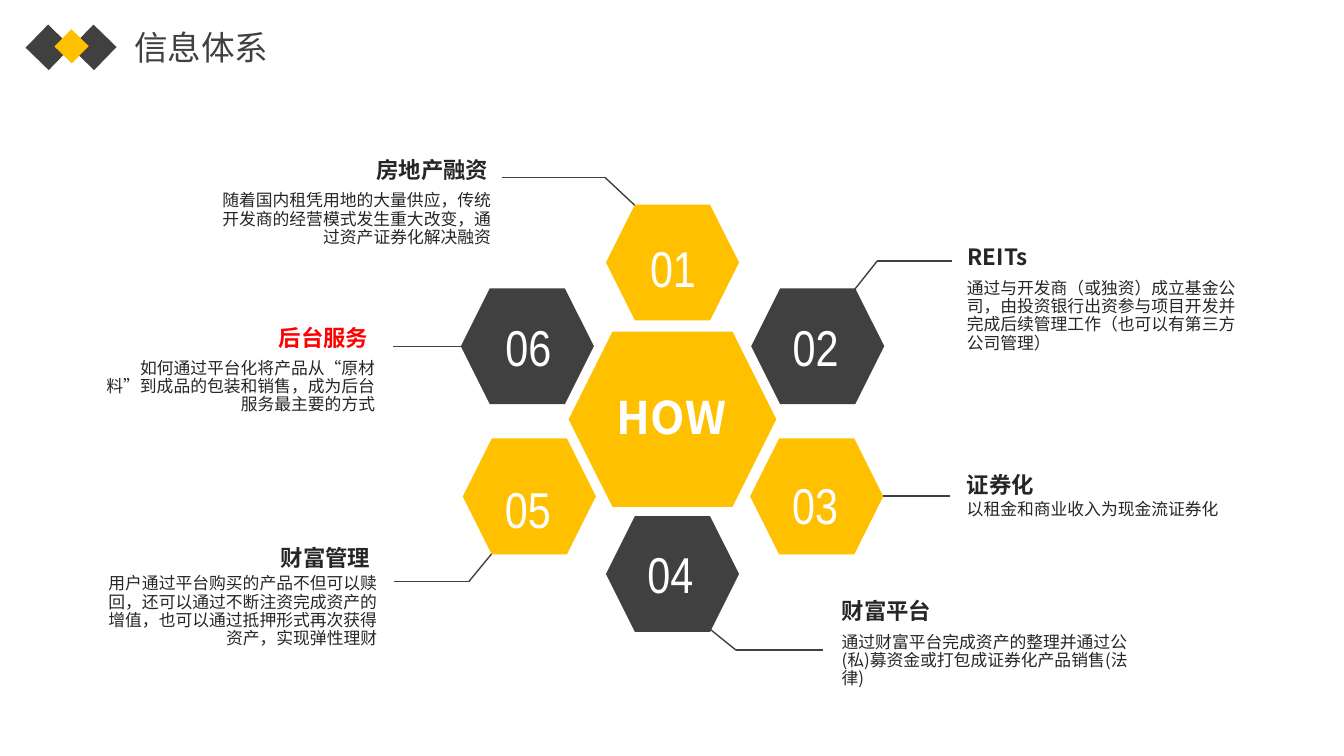
"""Build the slide of six numbered hexagons around a central HOW."""
import pptx
import pptx.util
import pptx.dml.color
import pptx.enum.shapes
import pptx.enum.text
from lxml import etree

PX = 9144
COLOURS = {"dark": "404040", "gold": "FFC000", "ink": "262626",
           "red": "FF0000", "white": "FFFFFF"}
SANS, NARROW = "Noto Sans CJK SC", "Arial Narrow"
HEX_WIDTH, HEX_HEIGHT = 132, 115

TITLE = ("信息体系", (123, 30, 266, 34))
DIAMONDS = [(77, 31, 32, "dark"), (32, 31, 32, "dark"), (59, 34, 24, "gold")]
CENTRE = ("HOW", (564, 329, 206, 174), (562, 382, 208, 64))

HEXAGONS = [
    ("02", (745, 286), "dark", (764, 309, 90, 71), 1),
    ("01", (601, 203), "gold", (619, 218, 97, 75), 1.2),
    ("03", (744, 435), "gold", (758, 453, 101, 75), 1.2),
    ("05", (459, 435), "gold", (478, 457, 91, 75), 1.2),
    ("06", (457, 286), "dark", (479, 309, 90, 71), 1),
    ("04", (601, 512), "dark", (620, 534, 90, 71), 1),
]
LEADERS = [
    [(631, 205), (600, 176), (498, 176)],
    [(847, 288), (870, 259), (944, 259)],
    [(942, 492), (875, 492)],
    [(704, 624), (730, 645), (816, 645)],
    [(488, 549), (465, 577), (391, 577)],
    [(457, 344), (390, 344)],
]
HEADINGS = [
    ("房地产融资", (287, 150, 207, 37), "right", "ink"),
    ("REITs", (950, 236, 90, 37), "left", "ink"),
    ("财富平台", (825, 588, 110, 37), "left", "ink"),
    ("财富管理", (267, 535, 110, 37), "right", "ink"),
    ("后台服务", (265, 317, 110, 37), "right", "red"),
]
DETAILS = [
    ("随着国内租凭用地的大量供应，传统开发商的经营模式发生重大改变，通过资产证券化解决融资",
     (203, 186, 294, 65), "right"),
    ("通过与开发商（或独资）成立基金公司，由投资银行出资参与项目开发并完成后续管理工作（也可以有第三方公司管理）",
     (949, 273, 299, 83), "left"),
    ("通过财富平台完成资产的整理并通过公(私)募资金或打包成证券化产品销售(法律)",
     (825, 624, 304, 65), "left"),
    ("用户通过平台购买的产品不但可以赎回，还可以通过不断注资完成资产的增值，也可以通过抵押形式再次获得资产，实现弹性理财",
     (89, 566, 295, 83), "right"),
    ("如何通过平台化将产品从“原材料”到成品的包装和销售，成为后台服务最主要的方式",
     (89, 352, 293, 65), "right"),
]
SECURITISATION = ("证券化", "以租金和商业收入为现金流证券化", (949, 463, 273, 57))

ALIGN = {"left": pptx.enum.text.PP_ALIGN.LEFT,
         "center": pptx.enum.text.PP_ALIGN.CENTER,
         "right": pptx.enum.text.PP_ALIGN.RIGHT}
SHAPE = pptx.enum.shapes.MSO_SHAPE


def emu(lengths):
    return [length * PX for length in lengths]


def rgb(name):
    return pptx.dml.color.RGBColor.from_string(COLOURS[name])


def write(paragraph, text, size=12, font=SANS, colour="ink", bold=False,
          align="left", spacing=1):
    paragraph.alignment = ALIGN[align]
    paragraph.line_spacing = spacing
    run = paragraph.add_run()
    run.text = text
    run.font.size = pptx.util.Pt(size)
    run.font.name = font
    run.font.bold = bold
    run.font.color.rgb = rgb(colour)
    latin = run.font._element.find(pptx.oxml.ns.qn("a:latin"))
    east_asian = etree.Element(pptx.oxml.ns.qn("a:ea"), typeface=SANS)
    latin.addnext(east_asian)


def add_text(slide, box, text, **style):
    frame = slide.shapes.add_textbox(*emu(box)).text_frame
    frame.word_wrap = True
    frame.auto_size = pptx.enum.text.MSO_AUTO_SIZE.SHAPE_TO_FIT_TEXT
    write(frame.paragraphs[0], text, **style)
    return frame


def add_block(slide, kind, box, colour):
    block = slide.shapes.add_shape(kind, *emu(box))
    block.shadow.inherit = False
    block.fill.solid()
    block.fill.fore_color.rgb = rgb(colour)
    block.line.fill.background()
    return block


def add_leader(slide, start, end):
    leader = slide.shapes.add_connector(
        pptx.enum.shapes.MSO_CONNECTOR.STRAIGHT, *emu(start + end))
    leader.line.color.rgb = rgb("dark")
    leader.line.width = pptx.util.Pt(1)
    etree.SubElement(leader._element.spPr, pptx.oxml.ns.qn("a:effectLst"))


def main():
    deck = pptx.Presentation()
    deck.slide_width, deck.slide_height = emu((1333, 750))
    slide = deck.slides.add_slide(deck.slide_layouts[5])

    title_text, title_box = TITLE
    title = slide.shapes.title
    title.left, title.top, title.width, title.height = emu(title_box)
    title.text_frame.auto_size = pptx.enum.text.MSO_AUTO_SIZE.NONE
    title.text_frame.vertical_anchor = pptx.enum.text.MSO_ANCHOR.MIDDLE
    write(title.text_frame.paragraphs[0], title_text, size=24, font=NARROW,
          colour="dark")
    for left, top, side, colour in DIAMONDS:
        diamond = add_block(slide, SHAPE.RECTANGLE, (left, top, side, side), colour)
        diamond.rotation = 44.2

    for points in LEADERS:
        for start, end in zip(points, points[1:]):
            add_leader(slide, start, end)

    for number, corner, colour, number_box, spacing in HEXAGONS:
        add_block(slide, SHAPE.HEXAGON, corner + (HEX_WIDTH, HEX_HEIGHT), colour)
        add_text(slide, number_box, number, size=36, font=NARROW,
                 colour="white", align="center", spacing=spacing)
    centre_text, centre_box, centre_text_box = CENTRE
    add_block(slide, SHAPE.HEXAGON, centre_box, "gold")
    add_text(slide, centre_text_box, centre_text, size=32, colour="white",
             bold=True, align="center")

    for heading, box, align, colour in HEADINGS:
        add_text(slide, box, heading, size=16, bold=True, colour=colour,
                 align=align)
    for detail, box, align in DETAILS:
        add_text(slide, box, detail, align=align, spacing=0.9)
    heading, detail, box = SECURITISATION
    frame = add_text(slide, box, heading, size=16, bold=True)
    write(frame.add_paragraph(), detail)

    deck.save("out.pptx")


if __name__ == "__main__":
    main()
